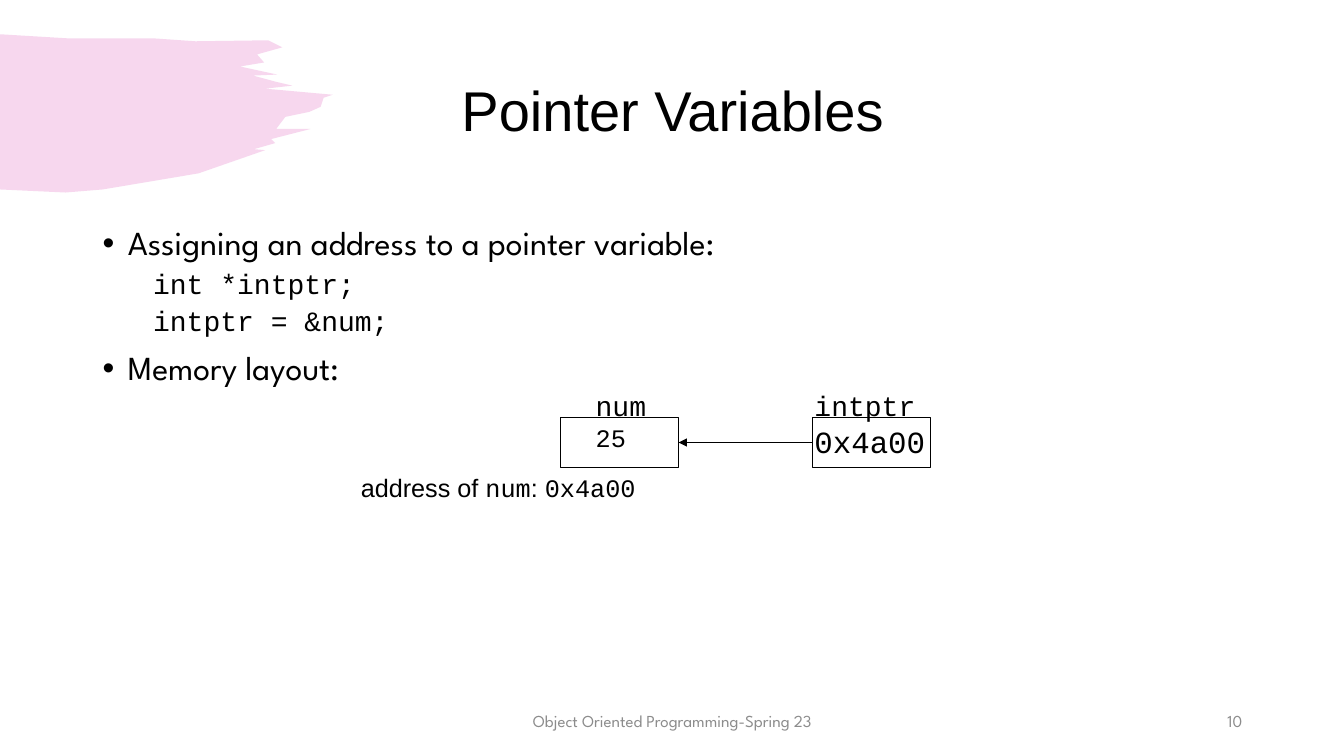
from lxml import etree
from pptx import Presentation
from pptx.dml.color import RGBColor
from pptx.enum.shapes import MSO_CONNECTOR, MSO_SHAPE
from pptx.enum.text import MSO_ANCHOR as ANCHOR, MSO_AUTO_SIZE as AUTO_SIZE, PP_ALIGN as ALIGN
from pptx.oxml.ns import qn
from pptx.util import Inches, Pt

COLORS = {"brush": "D739AE", "text": "000000", "footer": "8C8C8C"}
SANS, CODE, BODY = "Arial", "Courier New", "League Spartan"

presentation = Presentation()
presentation.slide_width = Inches(13.33)
presentation.slide_height = Inches(7.5)
slide = presentation.slides.add_slide(presentation.slide_layouts[6])


def add_text(box, paragraphs, size, color="text", align=ALIGN.LEFT, anchor=ANCHOR.TOP, wrap=True):
    shape = slide.shapes.add_textbox(*(Inches(value) for value in box))
    frame = shape.text_frame
    frame.word_wrap = wrap
    frame.auto_size = AUTO_SIZE.NONE if wrap else AUTO_SIZE.SHAPE_TO_FIT_TEXT
    frame.vertical_anchor = anchor
    for index, pieces in enumerate(paragraphs):
        paragraph = frame.add_paragraph() if index else frame.paragraphs[0]
        paragraph.alignment = align
        for words, font in pieces:
            run = paragraph.add_run()
            run.text = words
            run.font.name = font
            run.font.size = Pt(size)
            run.font.color.rgb = RGBColor.from_string(COLORS[color])
    return frame


brush_outline = [
    (0.66, 0.38), (1.51, 0.38), (1.94, 0.41), (2.66, 0.4), (2.8, 0.47),
    (2.55, 0.54), (2.62, 0.62), (2.38, 0.66), (2.75, 0.74), (2.51, 0.75),
    (2.73, 0.81), (2.9, 0.85), (2.63, 0.88), (3.3, 0.94), (3.21, 0.97),
    (3.18, 1.06), (3.07, 1.11), (2.83, 1.16), (2.74, 1.28), (3.08, 1.28),
    (2.69, 1.38), (2.73, 1.42), (2.52, 1.48), (2.63, 1.49), (1.97, 1.72),
    (1.02, 1.88), (0.65, 1.91), (0, 1.88),
]
builder = slide.shapes.build_freeform(0, Inches(0.34), scale=1.0)
builder.add_line_segments([(Inches(x), Inches(y)) for x, y in brush_outline], close=True)
brush = builder.convert_to_shape()
brush.shadow.inherit = False
brush.fill.solid()
brush.fill.fore_color.rgb = RGBColor.from_string(COLORS["brush"])
brush.line.fill.background()
brush_color = brush._element.spPr.find(qn("a:solidFill"))[0]
etree.SubElement(brush_color, qn("a:alpha"), val="20000")

title = add_text((0.92, 0.4, 11.5, 1.45), [[("Pointer Variables", SANS)]], 40,
                 align=ALIGN.CENTER, anchor=ANCHOR.MIDDLE)
title.paragraphs[0].line_spacing = 0.9

body_lines = [
    ("Assigning an address to a pointer variable:", BODY),
    ("int *intptr;", CODE),
    ("intptr = &num;", CODE),
    ("Memory layout:", BODY),
]
body = add_text((0.92, 2.2, 11.5, 4.55), [[line] for line in body_lines], 24)
for index, (paragraph, (words, font)) in enumerate(zip(body.paragraphs, body_lines)):
    is_code = font == CODE
    paragraph.line_spacing = 0.9
    if index:
        paragraph.space_before = Pt(5 if is_code else 10)
    properties = paragraph._p.get_or_add_pPr()
    properties.set("marL", str(Inches(0.75 if is_code else 0.25)))
    properties.set("indent", str(Inches(-0.25)))
    if is_code:
        paragraph.level = 1
        paragraph.runs[0].font.size = Pt(20)
        etree.SubElement(properties, qn("a:buNone"))
    else:
        etree.SubElement(properties, qn("a:buFont"), typeface=SANS)
        etree.SubElement(properties, qn("a:buChar"), char="•")

for left, width, words, align in [
    (4.42, 4.5, "Object Oriented Programming-Spring 23", ALIGN.CENTER),
    (9.42, 3, "10", ALIGN.RIGHT),
]:
    add_text((left, 6.95, width, 0.4), [[(words, BODY)]], 12, "footer", align, ANCHOR.MIDDLE)

black = RGBColor.from_string(COLORS["text"])
cell_top, cell_width, cell_height = 4.14, 1.17, 0.5
num_left, intptr_left = 5.56, 8.06
for left in (num_left, intptr_left):
    cell = slide.shapes.add_shape(MSO_SHAPE.RECTANGLE, Inches(left), Inches(cell_top),
                                  Inches(cell_width), Inches(cell_height))
    cell.shadow.inherit = False
    cell.fill.background()
    cell.line.color.rgb = black
    cell.line.width = Pt(0.75)

for box, words, size in [
    ((5.81, 3.81, 0.7, 0.43), "num", 20),
    ((7.98, 3.81, 1.2, 0.43), "intptr", 20),
    ((5.81, cell_top, 0.6, 0.5), "25", 18),
    ((7.98, cell_top, 1.3, 0.47), "0x4a00", 22),
]:
    add_text(box, [[(words, CODE)]], size, wrap=False)

arrow_y = Inches(cell_top + cell_height / 2)
arrow = slide.shapes.add_connector(MSO_CONNECTOR.STRAIGHT, Inches(intptr_left), arrow_y,
                                   Inches(num_left + cell_width), arrow_y)
arrow.line.color.rgb = black
arrow.line.width = Pt(0.75)
etree.SubElement(arrow.line._get_or_add_ln(), qn("a:tailEnd"), type="triangle")
etree.SubElement(arrow._element.spPr, qn("a:effectLst"))

address = [("address of ", SANS), ("num", CODE), (": ", SANS), ("0x4a00", CODE)]
add_text((3.48, 4.64, 3.84, 0.5), [address], 18, wrap=False)

presentation.save("out.pptx")
